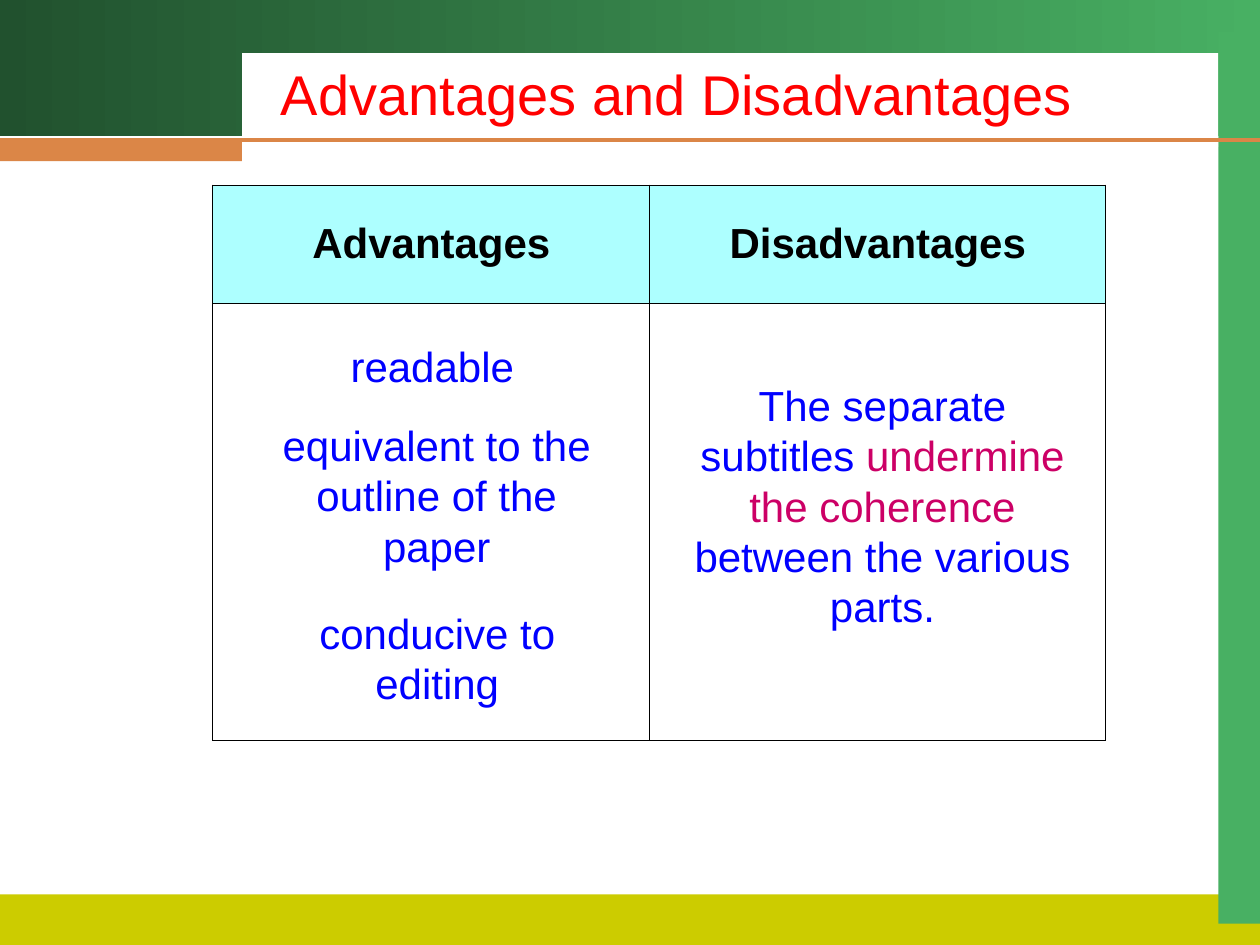
from lxml.etree import SubElement
from pptx import Presentation
from pptx.dml.color import RGBColor
from pptx.enum.shapes import MSO_CONNECTOR, MSO_SHAPE
from pptx.enum.text import MSO_ANCHOR, MSO_AUTO_SIZE, PP_ALIGN
from pptx.oxml.ns import qn
from pptx.util import Cm, Pt

COLORS = {
    "dark green": "21512E", "green": "48B063", "olive": "CCCC00",
    "orange": "DB8647", "white": "FFFFFF", "black": "000000",
    "red": "FF0000", "blue": "0000FF", "magenta": "CC0066", "cyan": "ADFFFF",
}


def color(name):
    return RGBColor.from_string(COLORS[name])


def write(frame, *runs, size=24, bold=False, align=PP_ALIGN.CENTER):
    """Fill the first paragraph with (text, colour name) runs."""
    paragraph = frame.paragraphs[0]
    paragraph.alignment = align
    for text, tint in runs:
        run = paragraph.add_run()
        run.text = text
        run.font.name = "Arial"
        run.font.size = Pt(size)
        run.font.bold = bold
        run.font.color.rgb = color(tint)


prs = Presentation()
prs.slide_width, prs.slide_height = Cm(25.4), Cm(19.05)
slide = prs.slides.add_slide(prs.slide_layouts[5])
shapes = slide.shapes

# Frame bands: left, top, width, height, colour
bands = [
    (0, 0, 25.4, 2.74, "dark green"),
    (0, 18.03, 25.4, 1.02, "olive"),
    (24.56, 0.64, 0.84, 17.98, "green"),
    (4.88, 1.07, 19.68, 1.9, "white"),
    (0, 2.82, 4.88, 0.43, "orange"),
]
for *box, tint in bands:
    band = shapes.add_shape(MSO_SHAPE.RECTANGLE, *map(Cm, box))
    band.shadow.inherit = False
    band.line.fill.background()
    if tint == "dark green":
        band.fill.gradient()
        band.fill.gradient_angle = 0
        for stop, shade in zip(band.fill.gradient_stops, (tint, "green")):
            stop.color.rgb = color(shade)
    else:
        band.fill.solid()
        band.fill.fore_color.rgb = color(tint)

# Rule under the title
rule = shapes.add_connector(MSO_CONNECTOR.STRAIGHT, 0, Cm(2.82), Cm(25.4), Cm(2.82))
rule.line.color.rgb = color("orange")
rule.line.width = Pt(2.25)
SubElement(rule._element.spPr, qn("a:effectLst"))

# Title, brought in front of the bands and wide enough for one line
title = shapes.title
title.left, title.top, title.width, title.height = map(Cm, (5.41, 1.07, 17, 1.63))
title.text_frame.word_wrap = True
title.text_frame.auto_size = MSO_AUTO_SIZE.NONE
title.text_frame.vertical_anchor = MSO_ANCHOR.TOP
write(title.text_frame, ("Advantages and Disadvantages", "red"),
      size=32, align=PP_ALIGN.LEFT)
rule._element.addnext(title._element)

# Comparison table
columns, rows = (8.81, 9.19), (2.39, 8.81)
table = shapes.add_table(2, 2, Cm(4.29), Cm(3.73), Cm(sum(columns)), Cm(sum(rows))).table
table.first_row = table.horz_banding = False
for column, width in zip(table.columns, columns):
    column.width = Cm(width)
for row, height in zip(table.rows, rows):
    row.height = Cm(height)
for cell in table.iter_cells():
    properties = cell._tc.get_or_add_tcPr()
    for side in ("lnL", "lnR", "lnT", "lnB"):
        border = SubElement(properties, qn(f"a:{side}"), w=str(Pt(0.45)))
        fill = SubElement(border, qn("a:solidFill"))
        SubElement(fill, qn("a:srgbClr"), val=COLORS["black"])
    cell.fill.background()
for column, heading in enumerate(("Advantages", "Disadvantages")):
    cell = table.cell(0, column)
    cell.fill.solid()
    cell.fill.fore_color.rgb = color("cyan")
    cell.vertical_anchor = MSO_ANCHOR.MIDDLE
    write(cell.text_frame, (heading, "black"), bold=True)

# Points placed over the table body
points = [
    ((5.31, 6.73, 6.81, 1.27), [("readable", "blue")]),
    ((5.11, 8.33, 7.39, 3.3), [("equivalent to the outline of the paper", "blue")]),
    ((5.31, 12.12, 7.01, 2.29), [("conducive to editing", "blue")]),
    ((13.69, 7.52, 8.2, 5.33), [
        ("The separate subtitles ", "blue"),
        ("undermine the coherence ", "magenta"),
        ("between the various parts.", "blue"),
    ]),
]
for box, runs in points:
    point = shapes.add_textbox(*map(Cm, box))
    point.text_frame.word_wrap = True
    write(point.text_frame, *runs)

prs.save("out.pptx")
